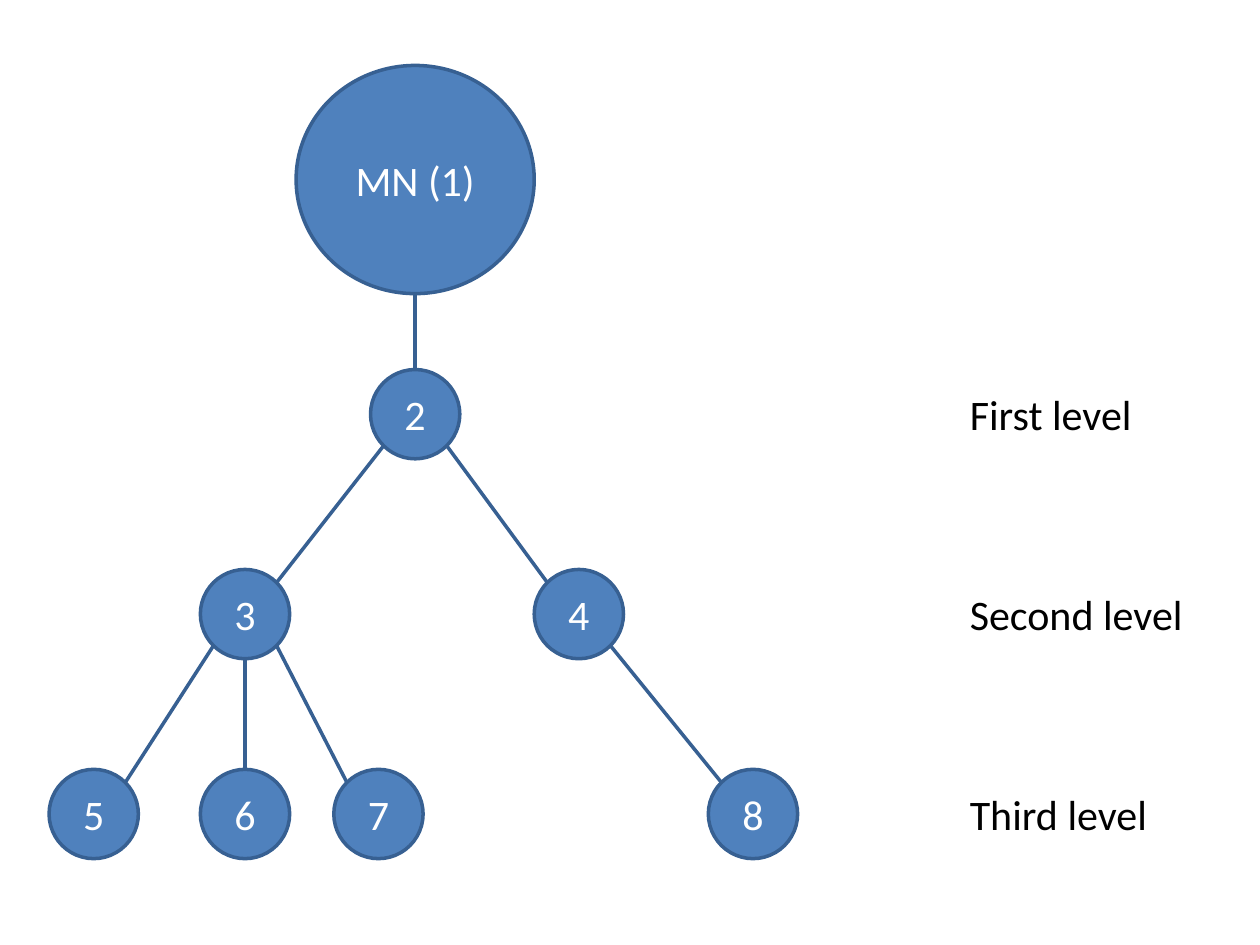
import math
from dataclasses import dataclass

import pptx
import pptx.dml.color
import pptx.enum.shapes
import pptx.enum.text
import pptx.oxml.ns
import pptx.util
from lxml import etree
from pptx.util import Cm


@dataclass(frozen=True)
class Theme:
    node_fill: str = "4F81BD"
    outline: str = "376092"
    node_text: str = "FFFFFF"
    label_text: str = "000000"
    font: str = "Calibri"
    text_size: int = 24
    line_width: int = 2


@dataclass(frozen=True)
class Node:
    text: str
    x: float  # centre, in cm
    y: float
    width: float = 1.8
    height: float = 1.8

    def rim(self, side, down):
        """Point on the rim: side is -1, 0 or 1; down is -1 (top) or 1 (bottom)."""
        reach = math.sqrt(0.5) if side else 1
        return (self.x + side * reach * self.width / 2,
                self.y + down * reach * self.height / 2)


THEME = Theme()
FIRST_LEVEL_Y, LEVEL_STEP = 8.35, 4.03
LABEL_LEFT, LABEL_HEIGHT = 19.3, 1.28

ROOT = Node("MN (1)", 8.37, 3.62, 4.8, 4.6)
# Label, label width, and the centre of each node on the level
LEVELS = [
    ("First level", 3.92, {"2": 8.37}),
    ("Second level", 4.85, {"3": 4.94, "4": 11.67}),
    ("Third level", 4.12, {"5": 1.89, "6": 4.94, "7": 7.63, "8": 15.18}),
]
BRANCHES = {"MN (1)": "2", "2": "34", "3": "567", "4": "8"}


def rgb(value):
    return pptx.dml.color.RGBColor.from_string(value)


def write(frame, text, *, color, align, anchor, wrap):
    frame.word_wrap = wrap
    frame.vertical_anchor = anchor
    paragraph = frame.paragraphs[0]
    paragraph.alignment = align
    run = paragraph.add_run()
    run.text = text
    run.font.name = THEME.font
    run.font.size = pptx.util.Pt(THEME.text_size)
    run.font.color.rgb = rgb(color)


def style_line(line):
    line.color.rgb = rgb(THEME.outline)
    line.width = pptx.util.Pt(THEME.line_width)


def add_node(shapes, node):
    circle = shapes.add_shape(
        pptx.enum.shapes.MSO_SHAPE.OVAL,
        Cm(node.x - node.width / 2), Cm(node.y - node.height / 2),
        Cm(node.width), Cm(node.height))
    circle.shadow.inherit = False
    circle.fill.solid()
    circle.fill.fore_color.rgb = rgb(THEME.node_fill)
    style_line(circle.line)
    write(circle.text_frame, node.text, color=THEME.node_text,
          align=pptx.enum.text.PP_ALIGN.CENTER,
          anchor=pptx.enum.text.MSO_ANCHOR.MIDDLE, wrap=True)


def add_branch(shapes, parent, child):
    side = (child.x > parent.x) - (child.x < parent.x)
    ends = parent.rim(side, 1) + child.rim(-side, -1)
    branch = shapes.add_connector(
        pptx.enum.shapes.MSO_CONNECTOR.STRAIGHT, *map(Cm, ends))
    style_line(branch.line)
    etree.SubElement(branch._element.spPr, pptx.oxml.ns.qn("a:effectLst"))


def add_label(shapes, text, width, y):
    label = shapes.add_textbox(Cm(LABEL_LEFT), Cm(y - LABEL_HEIGHT / 2),
                               Cm(width), Cm(LABEL_HEIGHT))
    write(label.text_frame, text, color=THEME.label_text,
          align=pptx.enum.text.PP_ALIGN.LEFT,
          anchor=pptx.enum.text.MSO_ANCHOR.TOP, wrap=False)
    label.text_frame.auto_size = pptx.enum.text.MSO_AUTO_SIZE.SHAPE_TO_FIT_TEXT


def main():
    deck = pptx.Presentation()
    deck.slide_width, deck.slide_height = Cm(25.4), Cm(19.05)
    slide = deck.slides.add_slide(deck.slide_layouts.get_by_name("Blank"))

    # Place the tree's nodes level by level
    nodes = {ROOT.text: ROOT}
    for depth, (_, _, centres) in enumerate(LEVELS):
        y = FIRST_LEVEL_Y + depth * LEVEL_STEP
        nodes.update({name: Node(name, x, y) for name, x in centres.items()})

    # Root and branches
    add_node(slide.shapes, ROOT)
    for parent, children in BRANCHES.items():
        for child in children:
            add_branch(slide.shapes, nodes[parent], nodes[child])

    # One group per level: its nodes and its label
    for depth, (label, width, centres) in enumerate(LEVELS):
        level = slide.shapes.add_group_shape()
        for name in centres:
            add_node(level.shapes, nodes[name])
        add_label(level.shapes, label, width, FIRST_LEVEL_Y + depth * LEVEL_STEP)

    deck.save("out.pptx")


if __name__ == "__main__":
    main()
